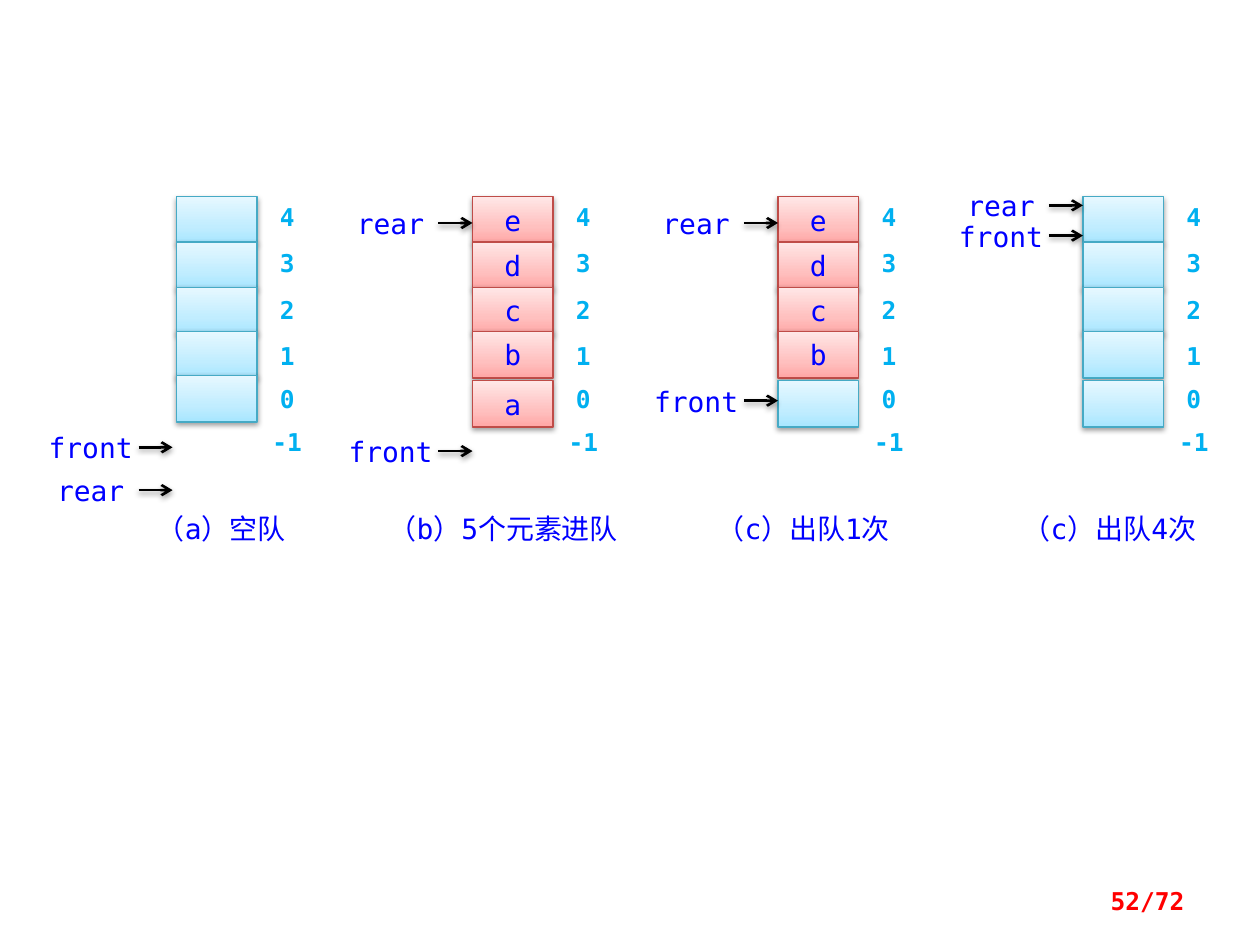
"""Build a slide showing a sequential queue in four states, with its front and rear pointers."""
from dataclasses import dataclass

from pptx import Presentation
from pptx.dml.color import RGBColor as RGB
from pptx.enum.shapes import MSO_CONNECTOR as CONNECTOR, MSO_SHAPE as SHAPE
from pptx.enum.text import MSO_ANCHOR as ANCHOR, PP_ALIGN as ALIGN
from pptx.oxml import parse_xml
from pptx.oxml.ns import nsdecls, qn
from pptx.util import Inches, Pt


@dataclass(frozen=True)
class Theme:
    font: str = "DejaVu Sans Mono"
    ink: str = "0000FF"
    index: str = "00B0F0"
    page: str = "FF0000"
    paper: str = "FFFFFF"
    arrow: str = "000000"
    empty: tuple = ("A7E6FF", "C1EDFF", "E7F8FF", "46AAC5")
    filled: tuple = ("FFA6A5", "FFC0BF", "FFE7E7", "BF4C48")
    body_size: int = 16
    small_size: int = 14


theme = Theme()
prs = Presentation()
prs.slide_width, prs.slide_height = Inches(10), Inches(7.5)
unit = prs.slide_width / 100
slide = prs.slides.add_slide(prs.slide_layouts[6])


def add_shadow(part):
    part._element.spPr.append(parse_xml(
        f'<a:effectLst {nsdecls("a")}><a:outerShdw blurRad="40000" dist="20000" dir="5400000" '
        'rotWithShape="0"><a:srgbClr val="000000"><a:alpha val="38000"/></a:srgbClr>'
        '</a:outerShdw></a:effectLst>'))


def add_box(group, text, left, top, width, height, color=theme.ink, size=theme.body_size, bold=False):
    box = group.shapes.add_shape(SHAPE.RECTANGLE, *(round(n * unit) for n in (left, top, width, height)))
    box.shadow.inherit = False
    box.fill.solid()
    box.fill.fore_color.rgb = RGB.from_string(theme.paper)
    box.line.fill.background()
    frame = box.text_frame
    frame.word_wrap = True
    frame.vertical_anchor = ANCHOR.TOP
    frame.margin_left = frame.margin_right = frame.margin_top = frame.margin_bottom = 0
    line = frame.paragraphs[0]
    line.text = text
    line.alignment = ALIGN.CENTER
    line.font.name, line.font.size, line.font.bold = theme.font, Pt(size), bold
    line.font.color.rgb = RGB.from_string(color)
    return box


cell_tops = (15.6, 19.2, 22.8, 26.3, 30.2)
index_tops = (16, 19.7, 23.4, 27.1, 30.5, 33.9)
states = [
    dict(stack=14, items=("",) * 5, bottom=29.8, arrow_gap=0.3,
         caption=("（a）空队", 11.9, 11.3), pointers=(("front", 35.5), ("rear", 38.9))),
    dict(stack=37.5, items="edcba", bottom=30.2, arrow_gap=0,
         caption=("（b）5个元素进队", 30.5, 18.9), pointers=(("rear", 17.7), ("front", 35.8))),
    dict(stack=61.75, items=(*"edcb", ""), bottom=30.2, arrow_gap=0,
         caption=("（c）出队1次", 55.5, 16.5), pointers=(("rear", 17.7), ("front", 31.8))),
    dict(stack=85.95, items=("",) * 5, bottom=30.2, arrow_gap=0,
         caption=("（c）出队4次", 79.8, 16.5), pointers=(("rear", 16.3), ("front", 18.7))),
]

for state in states:
    group = slide.shapes.add_group_shape()
    stack = state["stack"]

    for item, top in zip(state["items"], (*cell_tops[:4], state["bottom"])):
        cell = add_box(group, item, stack, top, 6.4, 3.7)
        cell.text_frame.paragraphs[0].line_spacing = Pt(23)
        dark, middle, light, edge = theme.filled if item else theme.empty
        stops = "".join(f'<a:gs pos="{place}"><a:srgbClr val="{color}"/></a:gs>'
                        for place, color in ((0, dark), (35000, middle), (100000, light)))
        properties = cell._element.spPr
        properties.remove(properties.find(qn("a:solidFill")))
        properties.find(qn("a:prstGeom")).addnext(parse_xml(
            f'<a:gradFill {nsdecls("a")} rotWithShape="1"><a:gsLst>{stops}</a:gsLst>'
            '<a:lin ang="16200000" scaled="0"/></a:gradFill>'))
        cell.line.color.rgb = RGB.from_string(edge)
        cell.line.width = Pt(0.75)
        properties.remove(properties.find(qn("a:effectLst")))
        add_shadow(cell)

    for index, top in zip(range(4, -2, -1), index_tops):
        add_box(group, str(index), stack + 7.3, top, 3, 2.7, theme.index, theme.small_size, True)

    caption, left, width = state["caption"]
    add_box(group, caption, left, 40.6, width, 3)

    tip = stack - state["arrow_gap"]
    for pointer, level in state["pointers"]:
        add_box(group, pointer, tip - 10.8, level - 1.3, 8.6, 3)
        arrow = group.shapes.add_connector(
            CONNECTOR.STRAIGHT, *(round(n * unit) for n in (tip - 2.7, level, tip, level)))
        arrow.line.color.rgb = RGB.from_string(theme.arrow)
        arrow.line.width = Pt(1.5)
        arrow.line._get_or_add_ln().append(parse_xml(f'<a:tailEnd {nsdecls("a")} type="arrow"/>'))
        add_shadow(arrow)

page = slide.shapes.add_textbox(*(round(n * unit) for n in (71.7, 69.5, 23.3, 4))).text_frame
page.word_wrap = True
page.vertical_anchor = ANCHOR.MIDDLE
number = page.paragraphs[0]
number.text = "52/72"
number.alignment = ALIGN.RIGHT
number.font.name, number.font.size, number.font.bold = theme.font, Pt(theme.small_size), True
number.font.color.rgb = RGB.from_string(theme.page)

prs.save("out.pptx")
